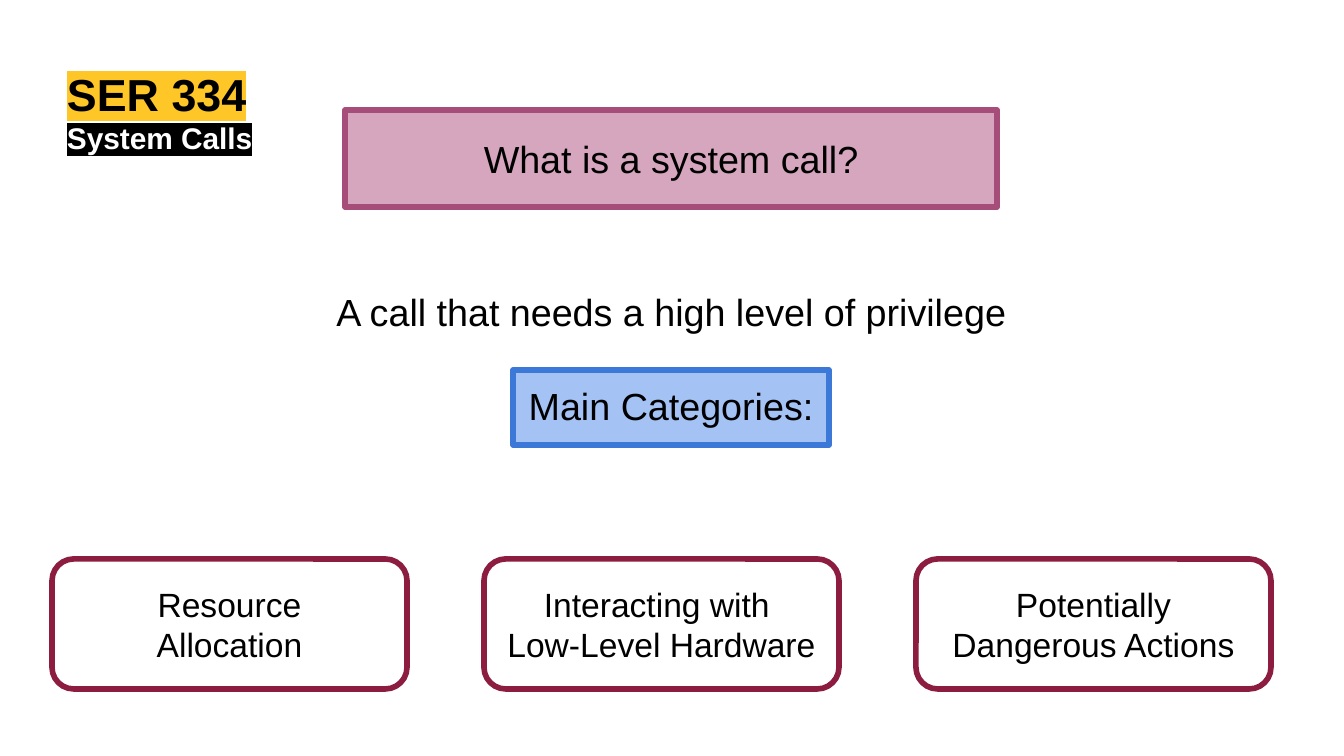
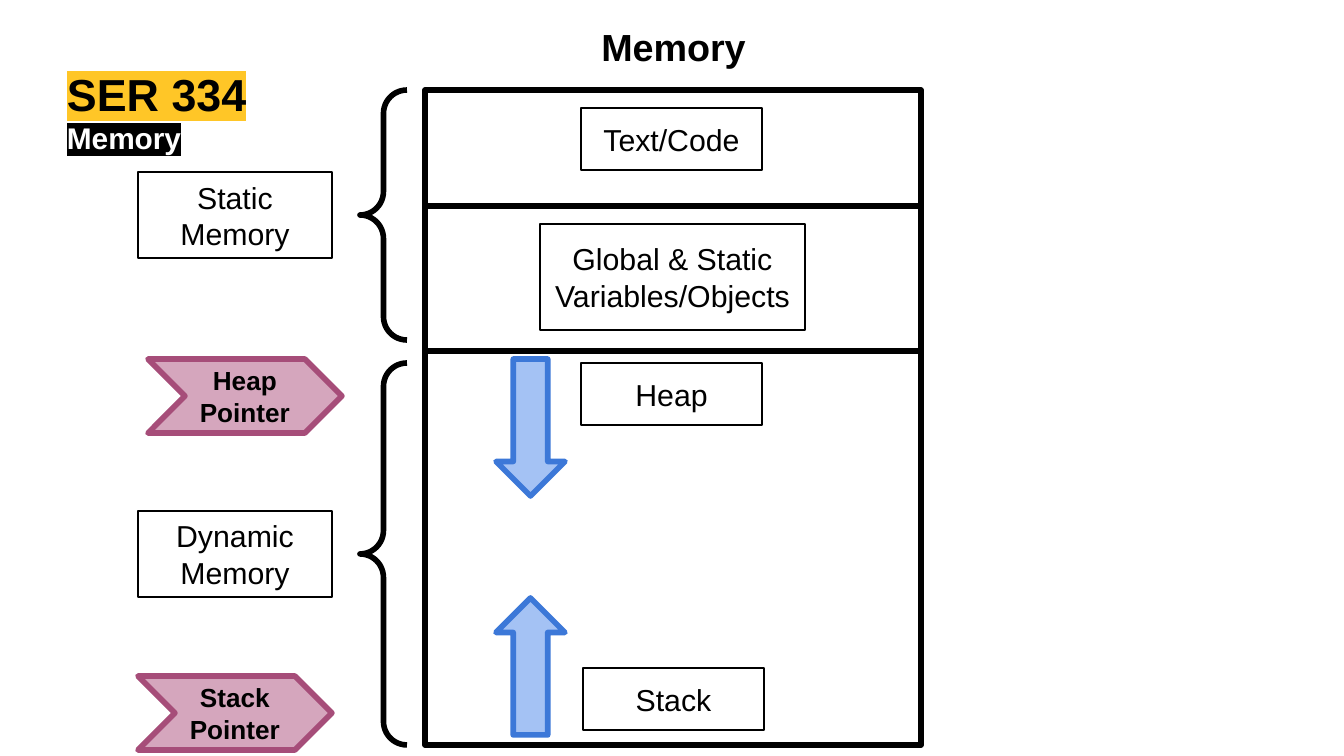
import pptx
import pptx.util
import pptx.dml.color
import pptx.enum.shapes
import pptx.enum.text
import pptx.oxml
import pptx.oxml.ns

RGB = pptx.dml.color.RGBColor
SHAPE = pptx.enum.shapes.MSO_SHAPE
ALIGN = pptx.enum.text.PP_ALIGN
ANCHOR = pptx.enum.text.MSO_ANCHOR

BLACK = RGB(0x00, 0x00, 0x00)
WHITE = RGB(0xFF, 0xFF, 0xFF)
GOLD = RGB(0xFF, 0xC6, 0x27)
MAROON = RGB(0x8C, 0x1D, 0x40)
PINK = RGB(0xD5, 0xA6, 0xBD)
PLUM = RGB(0xA6, 0x4D, 0x79)
LIGHT_BLUE = RGB(0xA4, 0xC2, 0xF4)
BLUE = RGB(0x3C, 0x78, 0xD8)

FONT = "Arial"
PX_PER_INCH = 134.4
INSET = 13
THICK, THIN = 3, 0.75

# Text formats
COURSE = {"size": 24, "bold": True}
TOPIC = {"size": 16, "bold": True, "color": WHITE}
HEADING = {"size": 20.2, "bold": True}
BODY = {"size": 20.2}
CARD = {"size": 18}
LABEL = {"size": 16.2}
POINTER = {"size": 14, "bold": True}


def px(*values):
    return [pptx.util.Emu(round(v * 914400 / PX_PER_INCH)) for v in values]


def set_text(sp, text, fmt, align=ALIGN.CENTER, anchor=ANCHOR.MIDDLE,
             inset=INSET, highlight=None):
    """Write one paragraph per line of text."""
    tf = sp.text_frame
    margin, = px(inset)
    frame = {"word_wrap": True, "vertical_anchor": anchor,
             "auto_size": pptx.enum.text.MSO_AUTO_SIZE.NONE,
             "margin_left": margin, "margin_right": margin,
             "margin_top": margin, "margin_bottom": margin}
    for name, value in frame.items():
        setattr(tf, name, value)
    for i, line in enumerate(text.split("\n")):
        p = tf.add_paragraph() if i else tf.paragraphs[0]
        p.alignment = align
        r = p.add_run()
        r.text = line
        font = {"name": FONT, "bold": fmt.get("bold", False),
                "size": pptx.util.Pt(fmt["size"])}
        for name, value in font.items():
            setattr(r.font, name, value)
        r.font.color.rgb = fmt.get("color", BLACK)
        if highlight is not None:
            add_highlight(r, highlight)


def add_highlight(r, color):
    fill = r.font._element.find(pptx.oxml.ns.qn("a:solidFill"))
    fill.addnext(pptx.oxml.parse_xml(
        f'<a:highlight {pptx.oxml.ns.nsdecls("a")}>'
        f'<a:srgbClr val="{color}"/></a:highlight>'))


def add_text(slide, box, text, fmt, **options):
    sp = slide.shapes.add_textbox(*px(*box))
    set_text(sp, text, fmt, **options)
    return sp


def add_box(shapes, kind, box, fill=None, line=BLACK, width=THICK,
            text=None, fmt=LABEL, **options):
    sp = shapes.add_shape(kind, *px(*box))
    sp.shadow.inherit = False
    if fill is None:
        sp.fill.background()
    else:
        sp.fill.solid()
        sp.fill.fore_color.rgb = fill
    sp.line.color.rgb = line
    sp.line.width = pptx.util.Pt(width)
    if text:
        set_text(sp, text, fmt, **options)
    return sp


def add_divider(shapes, x1, x2, y):
    cx = shapes.add_connector(pptx.enum.shapes.MSO_CONNECTOR.STRAIGHT,
                              *px(x1, y, x2, y))
    cx.line.color.rgb = BLACK
    cx.line.width = pptx.util.Pt(THICK)
    cx._element.spPr.append(pptx.oxml.parse_xml(
        f'<a:effectLst {pptx.oxml.ns.nsdecls("a")}/>'))


def add_slide(prs, topic):
    """Start a slide with the course title and its topic."""
    slide = prs.slides.add_slide(prs.slide_layouts[5])
    title = slide.shapes.title
    place = dict(zip(("left", "top", "width", "height"), px(67, 67, 652, 52)))
    for name, value in place.items():
        setattr(title, name, value)
    plain = {"align": ALIGN.LEFT, "anchor": ANCHOR.TOP, "inset": 0}
    set_text(title, "SER 334", COURSE, highlight=GOLD, **plain)
    add_text(slide, (67, 120, 875, 39), topic, TOPIC, highlight=BLACK, **plain)
    return slide


def build_system_calls(prs):
    slide = add_slide(prs, "System Calls")
    shapes = slide.shapes

    # Question and answer
    add_box(shapes, SHAPE.RECTANGLE, (345, 110, 652, 97), PINK, PLUM,
            text="What is a system call?", fmt=BODY)
    add_text(slide, (210, 276, 922, 75),
             "A call that needs a high level of privilege", BODY,
             anchor=ANCHOR.TOP)

    # Categories
    add_box(shapes, SHAPE.RECTANGLE, (513, 370, 316, 75), LIGHT_BLUE, BLUE,
            text="Main Categories:", fmt=BODY, anchor=ANCHOR.TOP)
    categories = ("Resource\nAllocation",
                  "Interacting with \nLow-Level Hardware",
                  "Potentially Dangerous Actions")
    for i, category in enumerate(categories):
        add_box(shapes, SHAPE.ROUNDED_RECTANGLE, (52 + 432 * i, 559, 355, 130),
                WHITE, MAROON, text=category, fmt=CARD)


def build_memory(prs):
    slide = add_slide(prs, "Memory")
    shapes = slide.shapes
    add_text(slide, (462, 9, 423, 74), "Memory", HEADING)

    # Memory block with its sections
    left, width = 425, 496
    block = shapes.add_group_shape().shapes
    add_box(block, SHAPE.RECTANGLE, (left, 90, width, 655), WHITE)
    for y in (206, 351):
        add_divider(block, left, left + width, y)

    # Braces for static and dynamic memory
    for top, height in ((90, 250), (363, 382)):
        brace = add_box(shapes, SHAPE.LEFT_BRACE, (360, top, 47, height))
        brace.adjustments[0] = 0.5

    # Labels
    labels = (("Stack", 583, 668, 181, 62),
              ("Heap", 581, 363, 181, 62),
              ("Text/Code", 581, 108, 181, 62),
              ("Global & Static Variables/Objects", 540, 224, 265, 106),
              ("Static Memory", 138, 172, 194, 86),
              ("Dynamic Memory", 138, 511, 194, 86))
    for text, *box in labels:
        add_box(shapes, SHAPE.RECTANGLE, box, width=THIN, text=text)

    # Pointers
    for text, x, y in (("Stack Pointer", 138, 676), ("Heap Pointer", 148, 359)):
        add_box(shapes, SHAPE.CHEVRON, (x, y, 194, 74), PINK, PLUM,
                text=text, fmt=POINTER)

    # Directions of growth
    for y, rotation in ((598, 0), (359, 180)):
        arrow = add_box(shapes, SHAPE.UP_ARROW, (496, y, 69, 137),
                        LIGHT_BLUE, BLUE)
        arrow.rotation = rotation


def main():
    prs = pptx.Presentation()
    prs.slide_width, prs.slide_height = px(1344, 756)
    build_system_calls(prs)
    build_memory(prs)
    prs.save("out.pptx")


if __name__ == "__main__":
    main()
